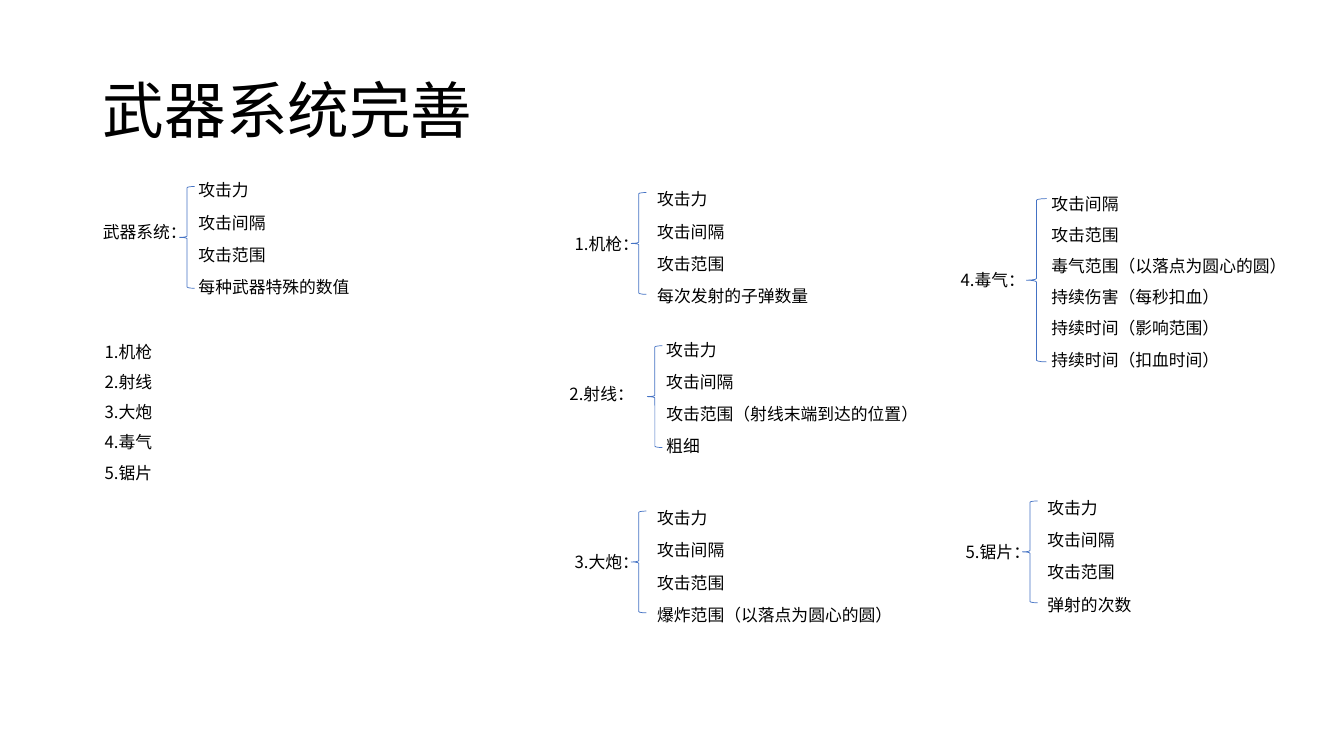
import pptx
import pptx.util
import pptx.dml.color
import pptx.enum.shapes
import pptx.enum.text
import pptx.oxml.ns
from lxml import etree

Inches = pptx.util.Inches
BLACK = pptx.dml.color.RGBColor(0x00, 0x00, 0x00)
BLUE = pptx.dml.color.RGBColor(0x44, 0x72, 0xC4)
FACE = "Noto Sans CJK SC"
ROW = 0.32
LABEL = 0.9


def write(frame, text, size, anchor):
    """Fill a frame with one plain, left-aligned paragraph."""
    frame.text = text
    look = {"word_wrap": True, "vertical_anchor": anchor,
            "auto_size": pptx.enum.text.MSO_AUTO_SIZE.NONE}
    for name, value in look.items():
        setattr(frame, name, value)
    para = frame.paragraphs[0]
    form = {"alignment": pptx.enum.text.PP_ALIGN.LEFT, "line_spacing": 0.9,
            "space_before": pptx.util.Pt(0)}
    for name, value in form.items():
        setattr(para, name, value)
    font = para.runs[0].font
    for name, value in {"name": FACE, "size": pptx.util.Pt(size)}.items():
        setattr(font, name, value)
    font.color.rgb = BLACK
    east = etree.SubElement(font._element, pptx.oxml.ns.qn("a:ea"))
    east.set("typeface", FACE)


def place(left, top, text):
    """Add a small text box, wide enough for its text."""
    width = max(LABEL, 0.25 + len(text) / 6)
    box = slide.shapes.add_textbox(Inches(left), Inches(top), Inches(width), Inches(ROW))
    write(box.text_frame, text, 12, pptx.enum.text.MSO_ANCHOR.TOP)


deck = pptx.Presentation()
deck.slide_width = Inches(13.33)
deck.slide_height = Inches(7.5)
slide = deck.slides.add_slide(deck.slide_layouts[1])

# Title and the label of the whole system
title = slide.shapes.title
body = slide.placeholders[1]
for holder, area in ((title, (0.92, 0.4, 11.5, 1.45)), (body, (0.92, 2.17, LABEL, ROW))):
    for name, value in zip(("left", "top", "width", "height"), area):
        setattr(holder, name, Inches(value))
write(title.text_frame, "武器系统完善", 44, pptx.enum.text.MSO_ANCHOR.MIDDLE)
write(body.text_frame, "武器系统：", 12, pptx.enum.text.MSO_ANCHOR.TOP)

# The label has no bullet and no hanging indent
props = body.text_frame.paragraphs[0]._p.get_or_add_pPr()
for name in ("marL", "indent"):
    props.set(name, "0")
etree.SubElement(props, pptx.oxml.ns.qn("a:buNone"))

# List of weapons
weapons = ["机枪", "射线", "大炮", "毒气", "锯片"]
for row, weapon in enumerate(weapons):
    place(0.94, 3.36 + 0.3 * row, f"{row + 1}.{weapon}")

# Place of the label, brace area, left and top of the items, row pitch, items
basic = ["攻击力", "攻击间隔", "攻击范围"]
groups = [
    (None, (1.78, 1.85, 0.15, 1.01), (1.87, 1.76), 0.32,
     basic + ["每种武器特殊的数值"]),
    ((5.6, 2.29), (6.26, 1.91, 0.15, 1.01), (6.42, 1.85), 0.32,
     basic + ["每次发射的子弹数量"]),
    ((5.55, 3.78), (6.42, 3.43, 0.15, 1.01), (6.51, 3.34), 0.32,
     basic[:2] + ["攻击范围（射线末端到达的位置）", "粗细"]),
    ((5.6, 5.45), (6.26, 5.07, 0.15, 1.01), (6.42, 5.01), 0.32,
     basic + ["爆炸范围（以落点为圆心的圆）"]),
    ((9.43, 2.65), (10.18, 1.97, 0.2, 1.62), (10.33, 1.89), 0.31,
     basic[1:] + ["毒气范围（以落点为圆心的圆）", "持续伤害（每秒扣血）",
                  "持续时间（影响范围）", "持续时间（扣血时间）"]),
    ((9.48, 5.35), (10.14, 4.97, 0.15, 1.01), (10.29, 4.91), 0.32,
     basic + ["弹射的次数"]),
]
for index, (spot, area, (left, top), pitch, items) in enumerate(groups):
    if spot:
        place(*spot, f"{index}.{weapons[index - 1]}：")
    for row, item in enumerate(items):
        place(left, top + pitch * row, item)
    brace = slide.shapes.add_shape(
        pptx.enum.shapes.MSO_SHAPE.LEFT_BRACE, *(Inches(side) for side in area))
    brace.shadow.inherit = False
    brace.fill.background()
    brace.line.color.rgb = BLUE
    brace.line.width = pptx.util.Pt(0.5)

deck.save("out.pptx")
